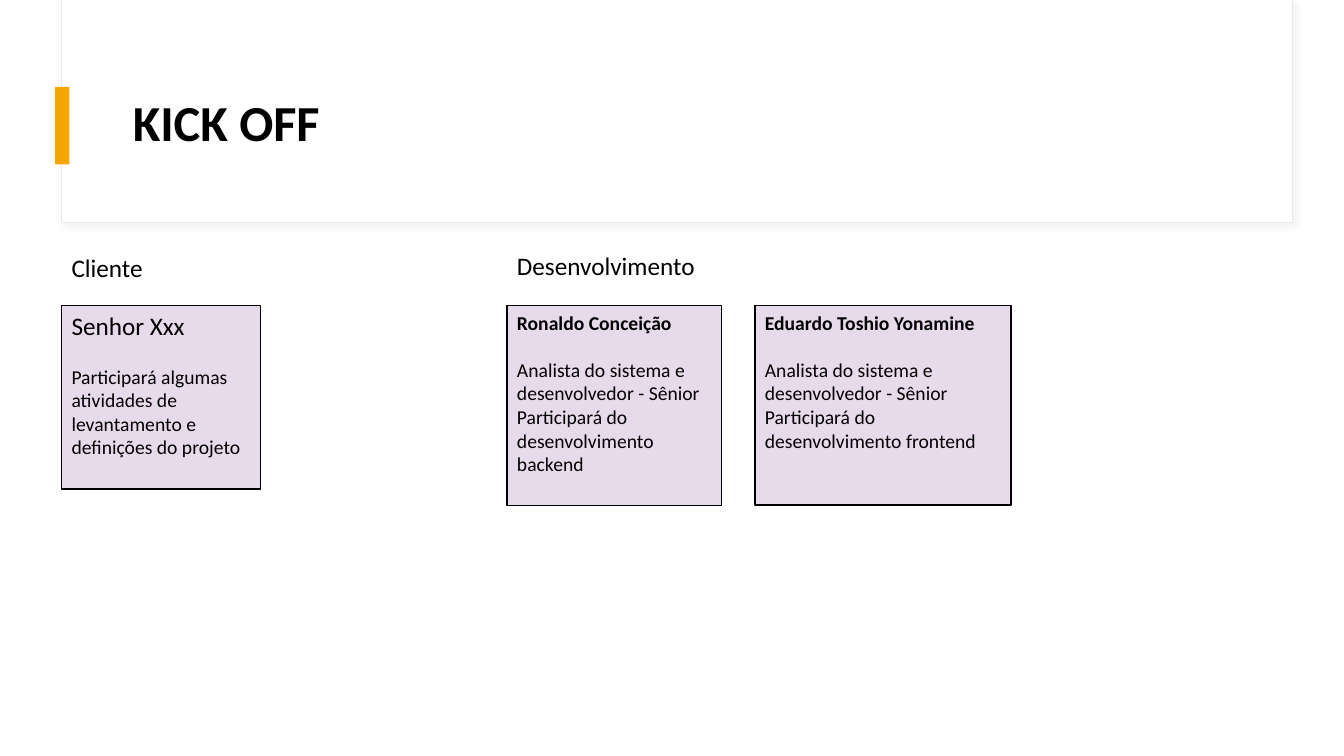
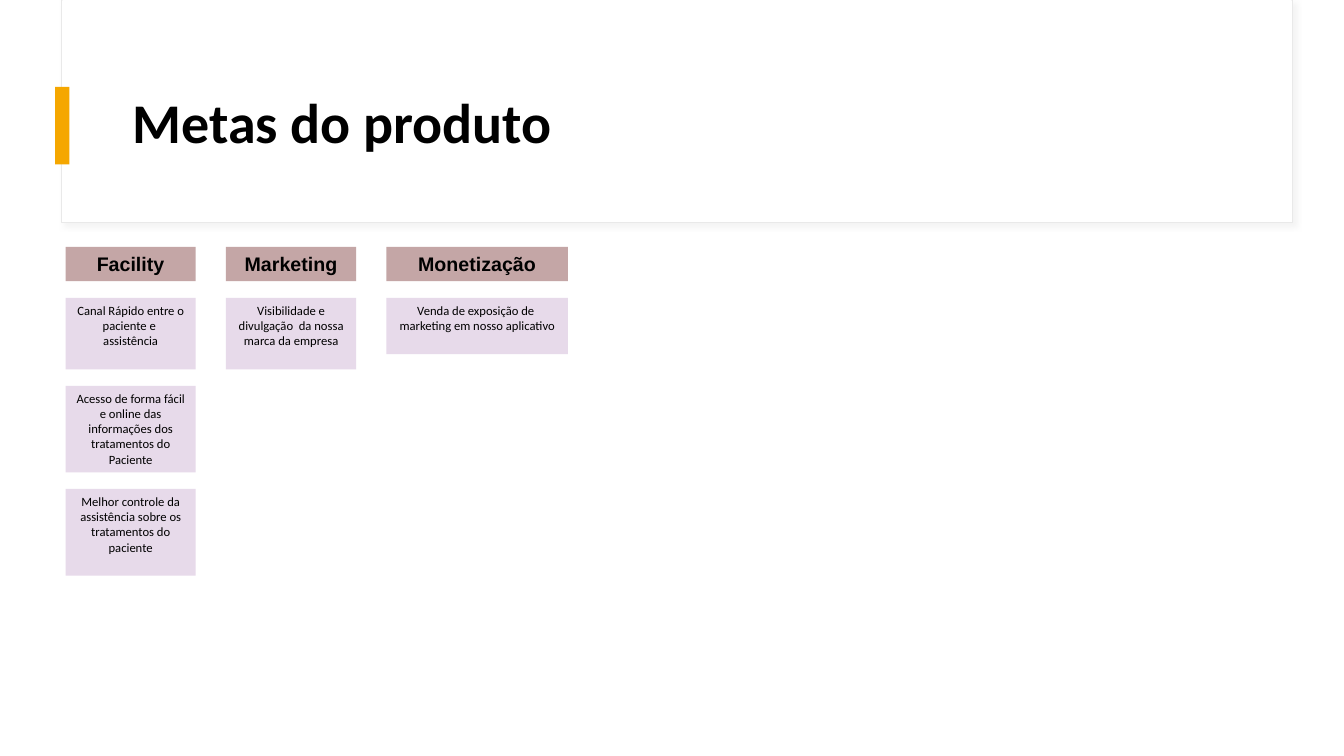
from dataclasses import dataclass

from lxml.etree import SubElement
from pptx import Presentation
from pptx.dml.color import RGBColor
from pptx.enum.shapes import MSO_SHAPE
from pptx.enum.text import MSO_ANCHOR, PP_ALIGN
from pptx.oxml.ns import qn
from pptx.shapes.autoshape import Shape
from pptx.slide import Slide
from pptx.util import Pt


@dataclass(frozen=True)
class Theme:
    white: str = "FFFFFF"
    black: str = "000000"
    accent: str = "F5A700"
    band_edge: str = "E9E9E9"
    band_shadow: str = "D9D9D9"
    card: str = "E7DAEA"
    heading: str = "C4A6A6"
    body_font: str = "Calibri"
    heading_font: str = "Arial"
    section_size: float = 18
    member_size: float = 14
    heading_size: float = 14
    goal_size: float = 9


THEME = Theme()


@dataclass(frozen=True)
class Box:
    left: float
    top: float
    width: float
    height: float

    def in_points(self) -> tuple[Pt, Pt, Pt, Pt]:
        return Pt(self.left), Pt(self.top), Pt(self.width), Pt(self.height)


@dataclass(frozen=True)
class Line:
    text: str
    size: float
    bold: bool = False
    font: str = THEME.body_font
    space_after: float = 0


@dataclass(frozen=True)
class Section:
    name: str
    box: Box


@dataclass(frozen=True)
class Member:
    name: Line
    duties: tuple[str, ...]
    box: Box


@dataclass(frozen=True)
class Goal:
    text: str
    height: float


@dataclass(frozen=True)
class GoalColumn:
    heading: str
    width: float
    goals: tuple[Goal, ...]


CARD_TOP = 218.2
BLANK_LINE = 17
SECTIONS = (
    Section("Cliente", Box(44, 176.4, 99.4, 29)),
    Section("Desenvolvimento", Box(362.2, 175.4, 206.6, 29)),
)
MEMBERS = (
    Member(
        Line("Senhor Xxx", THEME.section_size, space_after=BLANK_LINE),
        ("Participará algumas atividades de levantamento e definições do projeto",),
        Box(44, CARD_TOP, 142, 131),
    ),
    Member(
        Line("Ronaldo Conceição", THEME.member_size, True, space_after=BLANK_LINE),
        ("Analista do sistema e desenvolvedor - Sênior",
         "Participará do desenvolvimento backend"),
        Box(362.2, CARD_TOP, 153.4, 143),
    ),
    Member(
        Line("Eduardo Toshio Yonamine", THEME.member_size, True, space_after=BLANK_LINE),
        ("Analista do sistema e desenvolvedor - Sênior",
         "Participará do desenvolvimento frontend"),
        Box(539.3, CARD_TOP, 183, 142.6),
    ),
)

GOALS_LEFT, GOALS_TOP = 46.8, 176.4
HEADING_HEIGHT = 24.5
COLUMN_GAP, ROW_GAP = 21.6, 11.8
GOAL_COLUMNS = (
    GoalColumn("Facility", 93, (
        Goal("Canal Rápido entre o paciente e  assistência", 51.1),
        Goal("Acesso de forma fácil e online das informações dos tratamentos do Paciente", 61.9),
        Goal("Melhor controle da assistência sobre os tratamentos do paciente", 61.9),
    )),
    GoalColumn("Marketing", 93, (
        Goal("Visibilidade e divulgação  da nossa marca da empresa", 51.1),
    )),
    GoalColumn("Monetização", 129.6, (
        Goal("Venda de exposição de  marketing em nosso aplicativo", 40.3),
    )),
)


def write(shape: Shape, lines: list[Line], align: PP_ALIGN = PP_ALIGN.LEFT,
          anchor: MSO_ANCHOR = MSO_ANCHOR.TOP) -> None:
    frame = shape.text_frame
    frame.word_wrap = True
    frame.vertical_anchor = anchor
    frame.text = "\n".join(line.text for line in lines)
    for paragraph, line in zip(frame.paragraphs, lines):
        paragraph.alignment = align
        paragraph.space_after = Pt(line.space_after)
        for run in paragraph.runs:
            run.font.name = line.font
            run.font.size = Pt(line.size)
            run.font.bold = line.bold
            run.font.color.rgb = RGBColor.from_string(THEME.black)


def add_rect(slide: Slide, box: Box, fill: str, edge: str | None = None,
             edge_width: float = 1) -> Shape:
    rect = slide.shapes.add_shape(MSO_SHAPE.RECTANGLE, *box.in_points())
    rect.fill.solid()
    rect.fill.fore_color.rgb = RGBColor.from_string(fill)
    if edge:
        rect.line.color.rgb = RGBColor.from_string(edge)
        rect.line.width = Pt(edge_width)
    else:
        rect.line.fill.background()
    rect.shadow.inherit = False
    return rect


def add_label(slide: Slide, box: Box, line: Line,
              anchor: MSO_ANCHOR = MSO_ANCHOR.TOP) -> Shape:
    label = slide.shapes.add_textbox(*box.in_points())
    write(label, [line], anchor=anchor)
    return label


def cast_shadow(shape: Shape) -> None:
    """Give the shape a soft shadow towards the lower right."""
    effects = shape._element.spPr.find(qn("a:effectLst"))
    shadow = SubElement(effects, qn("a:outerShdw"), blurRad=str(Pt(4)),
                        dist=str(Pt(3)), dir=str(45 * 60000))
    color = SubElement(shadow, qn("a:srgbClr"), val=THEME.band_shadow)
    SubElement(color, qn("a:alpha"), val="30000")


def add_titled_slide(deck: Presentation, title: str, size: float) -> Slide:
    slide = deck.slides.add_slide(deck.slide_layouts[6])
    band = add_rect(slide, Box(44, 0, 879, 159), THEME.white, THEME.band_edge, 0.75)
    cast_shadow(band)
    add_rect(slide, Box(44.6, 0, 878, 158.4), THEME.white)
    add_rect(slide, Box(39.4, 62, 10.2, 55.4), THEME.accent)
    heading = add_label(slide, Box(87.8, 43.2, 800.6, 92.9),
                        Line(title, size, bold=True), MSO_ANCHOR.MIDDLE)
    heading.text_frame.paragraphs[0].line_spacing = 0.9
    return slide


def add_kick_off(deck: Presentation) -> None:
    slide = add_titled_slide(deck, "KICK OFF", 36)
    for section in SECTIONS:
        add_label(slide, section.box, Line(section.name, THEME.section_size))
    for member in MEMBERS:
        card = add_rect(slide, member.box, THEME.card, THEME.black)
        duties = [Line(duty, THEME.member_size) for duty in member.duties]
        write(card, [member.name, *duties])


def add_product_goals(deck: Presentation) -> None:
    slide = add_titled_slide(deck, "Metas do produto", 40)
    left = GOALS_LEFT
    for column in GOAL_COLUMNS:
        heading = add_rect(slide, Box(left, GOALS_TOP, column.width, HEADING_HEIGHT),
                           THEME.heading)
        write(heading, [Line(column.heading, THEME.heading_size, True, THEME.heading_font)],
              PP_ALIGN.CENTER)
        top = GOALS_TOP + HEADING_HEIGHT + ROW_GAP
        for goal in column.goals:
            card = add_rect(slide, Box(left, top, column.width, goal.height), THEME.card)
            write(card, [Line(goal.text, THEME.goal_size)], PP_ALIGN.CENTER)
            top += goal.height + ROW_GAP
        left += column.width + COLUMN_GAP


def main() -> None:
    deck = Presentation()
    deck.slide_width, deck.slide_height = Pt(960), Pt(540)
    add_kick_off(deck)
    add_product_goals(deck)
    deck.save("out.pptx")


if __name__ == "__main__":
    main()
